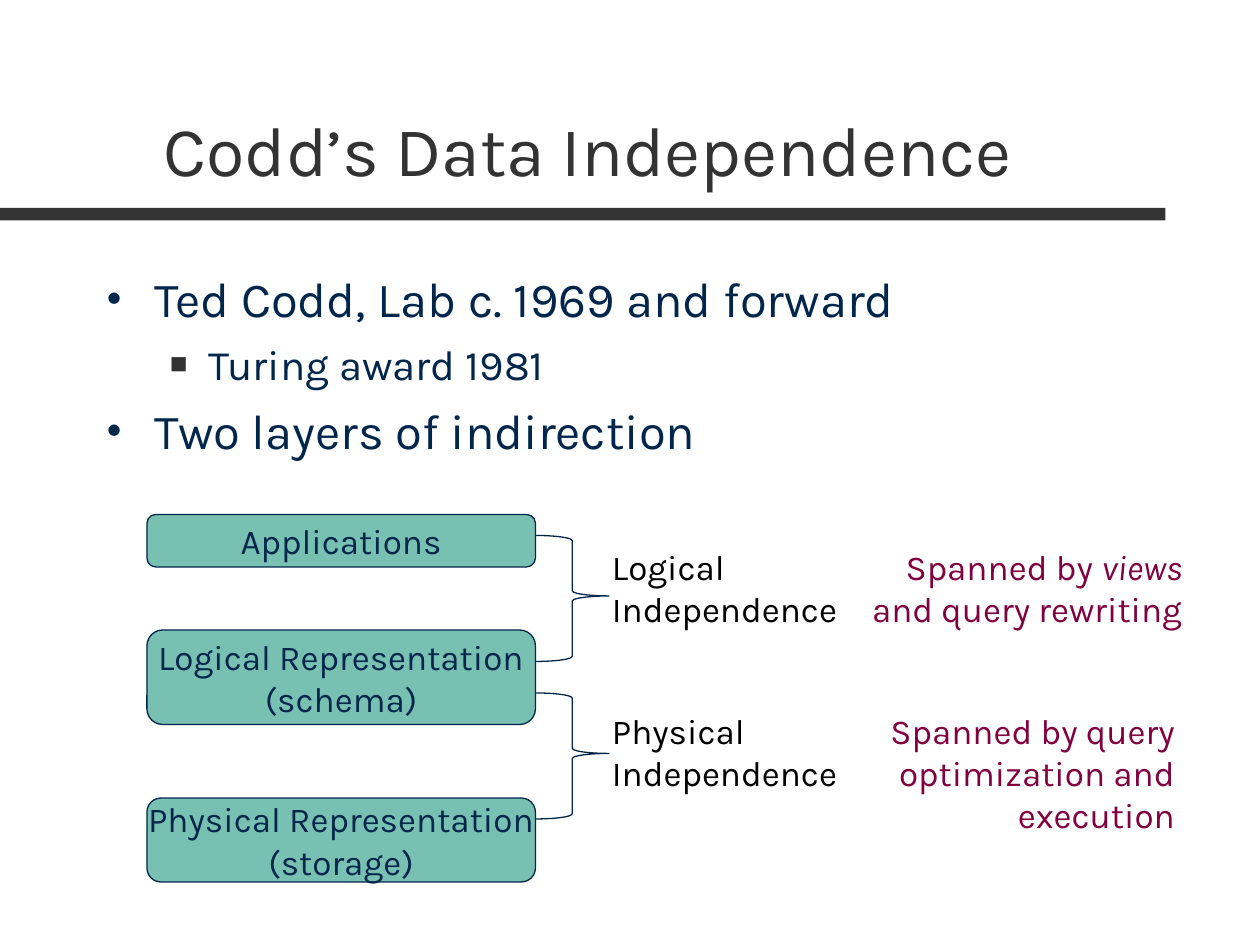
from dataclasses import dataclass

from lxml import etree
from pptx import Presentation
from pptx import util as u
from pptx.dml.color import RGBColor
from pptx.enum import shapes, text
from pptx.oxml.ns import qn


@dataclass(frozen=True)
class Theme:
    font: str = "Karla"
    gray: str = "333333"
    navy: str = "00264C"
    teal: str = "78C0B2"
    wine: str = "800040"
    black: str = "000000"
    title: int = 40
    body: int = 28
    sub: int = 24
    label: int = 20
    line: float = 0.75


class SlideBuilder:
    """Places elements on a grid of 120 columns by 90 rows."""

    COLUMNS, ROWS = 120, 90

    def __init__(self, presentation, theme):
        self.presentation = presentation
        self.theme = theme
        self.slide = presentation.slides.add_slide(presentation.slide_layouts[6])

    def place(self, column, row, columns, rows):
        across = self.presentation.slide_width / self.COLUMNS
        down = self.presentation.slide_height / self.ROWS
        return [int(n) for n in (column * across, row * down,
                                 columns * across, rows * down)]

    def style(self, paragraph, size, color):
        for run in paragraph.runs:
            run.font.name = self.theme.font
            run.font.size = u.Pt(size)
            run.font.color.rgb = RGBColor.from_string(color)

    def fill_text(self, frame, content, size, color, align):
        frame.text = content
        for paragraph in frame.paragraphs:
            paragraph.alignment = align
            self.style(paragraph, size, color)

    def shape(self, kind, area, fill=None, line=None):
        shape = self.slide.shapes.add_shape(kind, *self.place(*area))
        shape.shadow.inherit = False
        if fill:
            shape.fill.solid()
            shape.fill.fore_color.rgb = RGBColor.from_string(fill)
        else:
            shape.fill.background()
        if line:
            shape.line.color.rgb = RGBColor.from_string(line)
            shape.line.width = u.Pt(self.theme.line)
        else:
            shape.line.fill.background()
        return shape

    def bar(self, area):
        self.shape(shapes.MSO_SHAPE.RECTANGLE, area, self.theme.gray)

    def layer(self, area, content):
        shape = self.shape(shapes.MSO_SHAPE.ROUNDED_RECTANGLE, area,
                           self.theme.teal, self.theme.navy)
        frame = shape.text_frame
        frame.word_wrap = False
        frame.vertical_anchor = text.MSO_ANCHOR.MIDDLE
        self.fill_text(frame, content, self.theme.label, self.theme.navy,
                       text.PP_ALIGN.CENTER)

    def brace(self, area):
        shape = self.shape(shapes.MSO_SHAPE.RIGHT_BRACE, area, line=self.theme.navy)
        shape.adjustments[0] = 0.07
        shape.adjustments[1] = 0.48

    def textbox(self, area, content, size, color, align=text.PP_ALIGN.LEFT,
                wrap=False, anchor=text.MSO_ANCHOR.TOP):
        frame = self.slide.shapes.add_textbox(*self.place(*area)).text_frame
        frame.word_wrap = wrap
        frame.vertical_anchor = anchor
        self.fill_text(frame, content, size, color, align)
        return frame

    def bullet(self, paragraph, sign, color, percent, margin, hanging):
        properties = paragraph._p.get_or_add_pPr()
        properties.set("marL", str(u.Inches(margin)))
        properties.set("indent", str(-u.Inches(hanging)))
        tint = etree.SubElement(properties, qn("a:buClr"))
        etree.SubElement(tint, qn("a:srgbClr"), val=color)
        etree.SubElement(properties, qn("a:buSzPct"), val=str(percent * 1000))
        etree.SubElement(properties, qn("a:buFont"), typeface="Arial")
        etree.SubElement(properties, qn("a:buChar"), char=sign)

    def outline(self, area, items):
        theme = self.theme
        frame = self.textbox(area, "\n".join(item for _, item in items),
                             theme.body, theme.navy, wrap=True)
        for index, (paragraph, (level, _)) in enumerate(zip(frame.paragraphs, items)):
            if level:
                paragraph.level = level
                self.style(paragraph, theme.sub, theme.navy)
                self.bullet(paragraph, "■", theme.gray, 70, 0.81, 0.31)
            else:
                self.bullet(paragraph, "•", theme.navy, 85, 0.38, 0.38)
            if index:
                paragraph.space_before = u.Pt(6 if level else 7)


def main():
    presentation = Presentation()
    presentation.slide_width = u.Inches(10)
    presentation.slide_height = u.Inches(7.5)
    theme = Theme()
    builder = SlideBuilder(presentation, theme)

    # Heading
    builder.bar((0, 19.8, 111, 1.2))
    builder.textbox((14.4, 3.7, 102, 15), "Codd’s Data Independence", theme.title,
                    theme.gray, wrap=True, anchor=text.MSO_ANCHOR.BOTTOM)

    # Bullet points
    builder.outline((9, 25, 102, 55), [
        (0, "Ted Codd, Lab c. 1969 and forward"),
        (1, "Turing award 1981"),
        (0, "Two layers of indirection"),
    ])

    # Stack of layers
    for row, rows, content in [
        (49, 5, "Applications"),
        (60, 9, "Logical Representation\v(schema)"),
        (76, 8, "Physical Representation\n(storage)"),
    ]:
        builder.layer((14, row, 37, rows), content)

    # Braces and the independence each one spans
    for brace_row, label_row, name in [(51, 51.4, "Logical"), (66, 67, "Physical")]:
        builder.brace((51, brace_row, 7, 12))
        builder.textbox((57.1, label_row, 25, 9.2), f"{name}\nIndependence",
                        theme.label, theme.black)

    # How each gap is spanned
    views = builder.textbox((80.3, 51.4, 33.5, 9.2), "Spanned by \nand query rewriting",
                            theme.label, theme.wine, text.PP_ALIGN.RIGHT)
    first = views.paragraphs[0]
    first.add_run().text = "views"
    builder.style(first, theme.label, theme.wine)
    first.runs[-1].font.italic = True
    builder.textbox((82.4, 67, 30.7, 13.2),
                    "Spanned by query\voptimization and\vexecution",
                    theme.label, theme.wine, text.PP_ALIGN.RIGHT)

    presentation.save("out.pptx")


if __name__ == "__main__":
    main()
